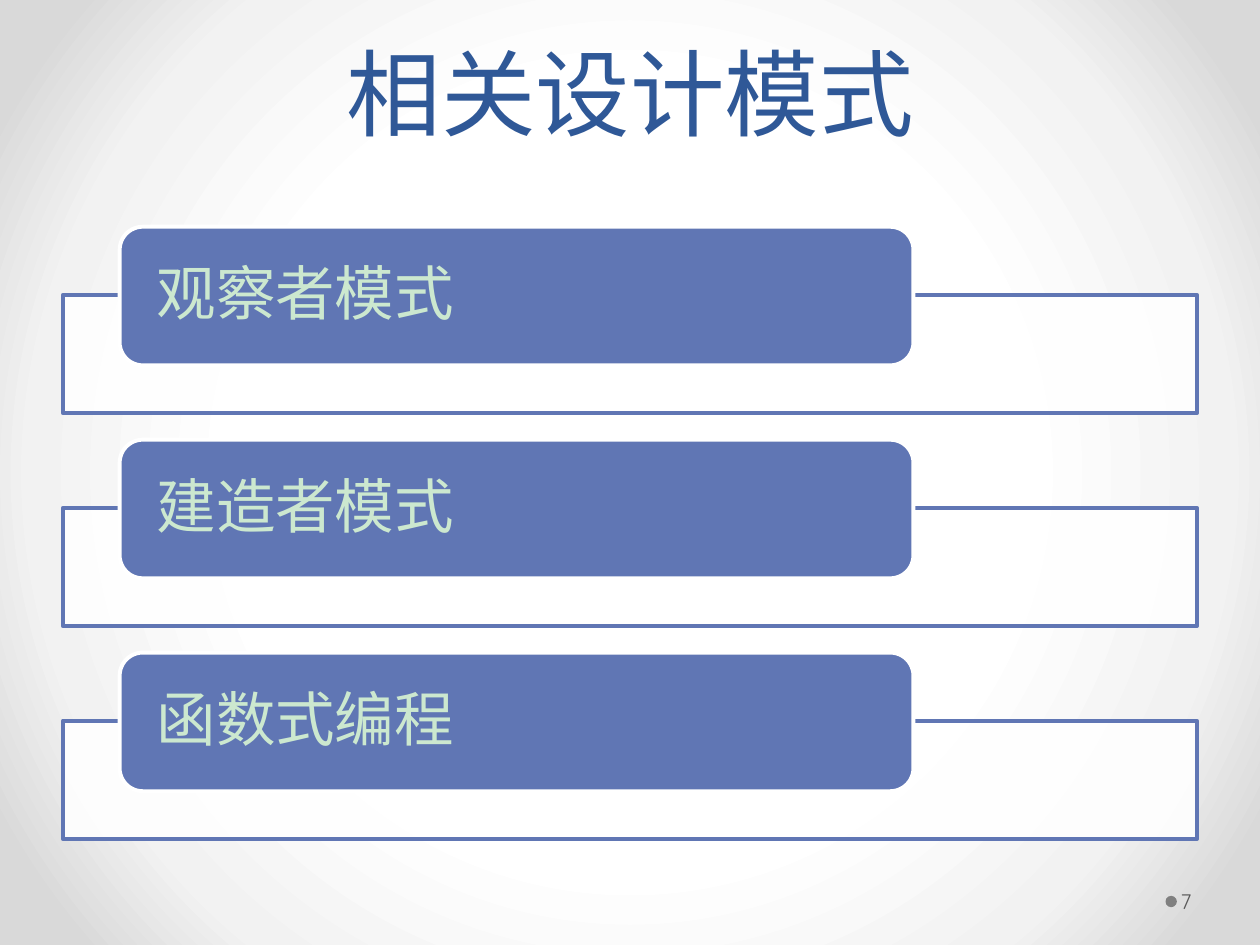
from dataclasses import dataclass

from pptx import Presentation
from pptx.dml.color import RGBColor
from pptx.enum.shapes import MSO_SHAPE
from pptx.enum.text import MSO_ANCHOR, PP_ALIGN
from pptx.oxml import parse_xml
from pptx.oxml.ns import nsdecls, qn
from pptx.util import Inches, Pt

RECTANGLE = MSO_SHAPE.RECTANGLE
ROUNDED = MSO_SHAPE.ROUNDED_RECTANGLE
OVAL = MSO_SHAPE.OVAL
MIDDLE, BOTTOM = MSO_ANCHOR.MIDDLE, MSO_ANCHOR.BOTTOM
LEFT, CENTER = PP_ALIGN.LEFT, PP_ALIGN.CENTER
TITLE_ONLY = 5


@dataclass(frozen=True)
class Theme:
    font: str = "Cambria"
    number_font: str = "Quicksand"
    title_color: str = "2F5897"
    accent: str = "6076B4"
    label_color: str = "CCE8CF"
    paper: str = "FFFFFF"
    dot: str = "808080"
    number_color: str = "595959"
    title_size: int = 54
    label_size: int = 34
    number_size: int = 12
    line_width: float = 2.25
    backdrop: tuple = ((50, "FFFFFF"), (76, "F2F2F2"), (92, "D9D9D9"))


THEME = Theme()
PATTERNS = ("观察者模式", "建造者模式", "函数式编程")
MARGIN, CONTENT_WIDTH = 0.5, 9
FIRST_ROW, ROW_PITCH = 1.8, 1.69
LABEL_INDENT, LABEL_SHARE, LABEL_HEIGHT = 0.45, 0.7, 1.1
FRAME_DROP, FRAME_HEIGHT = 0.54, 0.94


def paint_backdrop(slide):
    """Radial gradient from the centre of the slide to its corners."""
    stops = "".join(
        f'<a:gs pos="{position * 1000}"><a:srgbClr val="{color}"/></a:gs>'
        for position, color in THEME.backdrop
    )
    slide.element.cSld.insert(0, parse_xml(
        f'<p:bg {nsdecls("p", "a")}><p:bgPr><a:gradFill rotWithShape="1">'
        f'<a:gsLst>{stops}</a:gsLst><a:path path="circle">'
        '<a:fillToRect l="50000" t="50000" r="50000" b="50000"/></a:path>'
        '</a:gradFill><a:effectLst/></p:bgPr></p:bg>'
    ))


def add_box(slide, kind, box, fill, line=None, opacity=None):
    shape = slide.shapes.add_shape(kind, *map(Inches, box))
    shape.shadow.inherit = False
    shape.fill.solid()
    shape.fill.fore_color.rgb = RGBColor.from_string(fill)
    if opacity is not None:
        color = shape.fill._xPr.find(qn("a:solidFill"))[0]
        color.append(parse_xml(
            f'<a:alpha {nsdecls("a")} val="{opacity * 1000}"/>'))
    if line:
        shape.line.color.rgb = RGBColor.from_string(line)
        shape.line.width = Pt(THEME.line_width)
    else:
        shape.line.fill.background()
    return shape


def write(shape, text, font, size, color, anchor=MIDDLE, align=LEFT,
          insets=(0.1, 0.05, 0.1, 0.05)):
    """Set one line of text; insets run left, top, right, bottom."""
    frame = shape.text_frame
    frame.text = text
    frame.word_wrap = True
    frame.vertical_anchor = anchor
    (frame.margin_left, frame.margin_top,
     frame.margin_right, frame.margin_bottom) = map(Inches, insets)
    paragraph = frame.paragraphs[0]
    paragraph.alignment = align
    run_font = paragraph.runs[0].font
    run_font.name, run_font.size = font, Pt(size)
    run_font.color.rgb = RGBColor.from_string(color)
    return paragraph


def add_title(slide, text):
    title = slide.shapes.title
    title.left, title.top = Inches(MARGIN), 0
    title.width, title.height = Inches(CONTENT_WIDTH), Inches(1.23)
    paragraph = write(title, text, THEME.font, THEME.title_size,
                      THEME.title_color, BOTTOM, CENTER)
    paragraph.line_spacing = Pt(58)


def add_pattern_row(slide, row, text):
    top = FIRST_ROW + row * ROW_PITCH
    add_box(slide, RECTANGLE,
            (MARGIN, top + FRAME_DROP, CONTENT_WIDTH, FRAME_HEIGHT),
            THEME.paper, THEME.accent, opacity=90)
    label = add_box(slide, ROUNDED,
                    (MARGIN + LABEL_INDENT, top,
                     CONTENT_WIDTH * LABEL_SHARE, LABEL_HEIGHT),
                    THEME.accent, THEME.paper)
    paragraph = write(label, text, THEME.font, THEME.label_size,
                      THEME.label_color, insets=(0.24, 0, 0.24, 0))
    paragraph.line_spacing = 0.9
    paragraph.space_after = Pt(12)


def add_page_number(slide, number):
    add_box(slide, OVAL, (9.25, 7.11, 0.09, 0.09), THEME.dot)
    box = slide.shapes.add_textbox(*map(Inches, (9.34, 6.95, 0.61, 0.4)))
    write(box, number, THEME.number_font, THEME.number_size,
          THEME.number_color, insets=(0.03, 0.05, 0.05, 0.05))


def main():
    presentation = Presentation()
    presentation.slide_width = Inches(10)
    presentation.slide_height = Inches(7.5)
    slide = presentation.slides.add_slide(
        presentation.slide_layouts[TITLE_ONLY])
    paint_backdrop(slide)
    add_title(slide, "相关设计模式")
    for row, text in enumerate(PATTERNS):
        add_pattern_row(slide, row, text)
    add_page_number(slide, "7")
    presentation.save("out.pptx")


if __name__ == "__main__":
    main()
